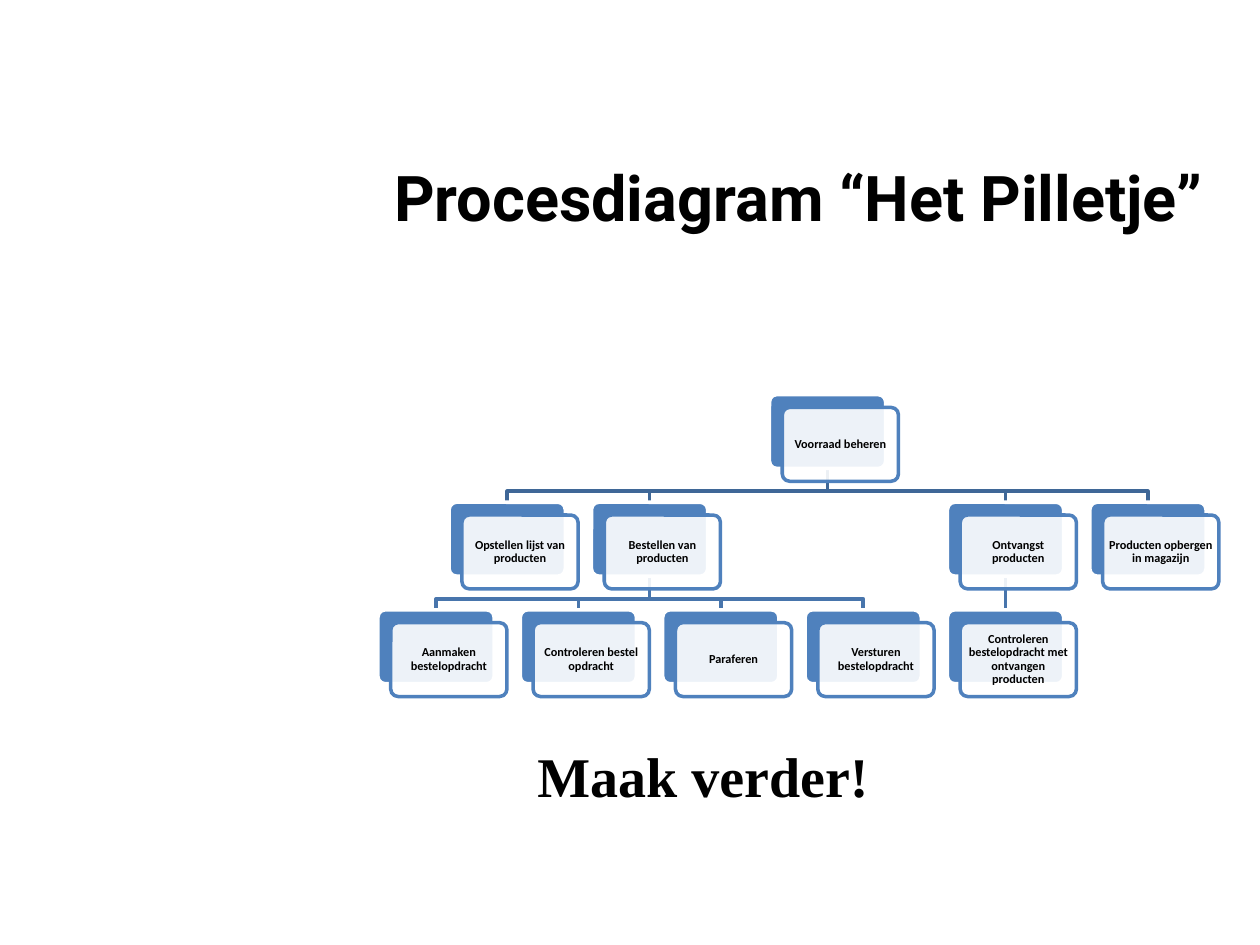
from lxml.etree import SubElement
from pptx import Presentation
from pptx.dml.color import RGBColor
from pptx.enum.shapes import MSO_CONNECTOR as CONN, MSO_SHAPE as SHAPE
from pptx.enum.text import MSO_ANCHOR as ANCHOR, MSO_AUTO_SIZE as AUTO, PP_ALIGN as ALIGN
from pptx.oxml.ns import qn
from pptx.util import Pt

BLACK = RGBColor(0x00, 0x00, 0x00)
WHITE = RGBColor(0xFF, 0xFF, 0xFF)
BLUE = RGBColor(0x4F, 0x81, 0xBD)
LINE_COLORS = [RGBColor(0x3F, 0x67, 0x97), RGBColor(0x48, 0x75, 0xAC)]  # by parent row

# Chart grid, in points
LEFT, TOP = 216, 225.5
COL_STEP, ROW_STEP = 81.36, 61.5
CARD_W, CARD_H = 66.4, 42.2
OFFSET = 7.3     # front card against back card
BEND = 13        # elbow below the parent card

# Name: (column, row, parent)
ROOT, ORDER, RECEIPT = "Voorraad beheren", "Bestellen van producten", "Ontvangst producten"
PROCESSES = {
    ROOT: (2.75, 0, None),
    "Opstellen lijst van producten": (0.5, 1, ROOT),
    ORDER: (1.5, 1, ROOT),
    RECEIPT: (4, 1, ROOT),
    "Producten opbergen in magazijn": (5, 1, ROOT),
    "Aanmaken bestelopdracht": (0, 2, ORDER),
    "Controleren bestel opdracht": (1, 2, ORDER),
    "Paraferen": (2, 2, ORDER),
    "Versturen bestelopdracht": (3, 2, ORDER),
    "Controleren bestelopdracht met ontvangen producten": (4, 2, RECEIPT),
}


def add_run(p, text, font, size):
    r = p.add_run()
    r.text = text
    r.font.name, r.font.size, r.font.bold = font, Pt(size), True
    r.font.color.rgb = BLACK


def set_title(slide, text):
    s = slide.shapes.title
    s.left, s.top, s.width, s.height = Pt(218), Pt(86.5), Pt(480), Pt(51)
    tf = s.text_frame
    tf.vertical_anchor = ANCHOR.MIDDLE
    tf.paragraphs[0].alignment = ALIGN.LEFT
    add_run(tf.paragraphs[0], text, "Roboto", 36)


def add_plate(slide, x, y, fill, line):
    s = slide.shapes.add_shape(SHAPE.ROUNDED_RECTANGLE, Pt(x), Pt(y), Pt(CARD_W), Pt(CARD_H))
    s.adjustments[0] = 0.1
    s.shadow.inherit = False
    s.fill.solid()
    s.fill.fore_color.rgb = fill
    s.line.color.rgb, s.line.width = line, Pt(2)
    return s


def add_card(slide, text, col, row):
    """Draw a back plate and a labelled front plate; return the back plate."""
    x, y = LEFT + col * COL_STEP, TOP + row * ROW_STEP
    back = add_plate(slide, x, y, BLUE, WHITE)
    front = add_plate(slide, x + OFFSET, y + OFFSET, WHITE, BLUE)
    color = front.fill._xPr.find(qn("a:solidFill"))[0]
    SubElement(color, qn("a:alpha"), val="90000")
    tf = front.text_frame
    tf.word_wrap = True
    tf.vertical_anchor = ANCHOR.MIDDLE
    tf.margin_left = tf.margin_right = tf.margin_top = tf.margin_bottom = Pt(2)
    p = tf.paragraphs[0]
    p.alignment, p.line_spacing, p.space_after = ALIGN.CENTER, 0.9, Pt(2.5)
    add_run(p, text, "Calibri", 7)
    return back


def link_cards(slide, parent, child, color):
    """Join parent bottom to child top, behind the cards."""
    x1, y1 = parent.left + parent.width // 2, parent.top + parent.height
    x2, y2 = child.left + child.width // 2, child.top
    if x1 == x2:
        s = slide.shapes.add_connector(CONN.STRAIGHT, x1, y1, x2, y2)
        s.begin_connect(parent, 2)
        s.end_connect(child, 0)
        SubElement(s._element.spPr, qn("a:effectLst"))
    else:
        bend = y1 + Pt(BEND)
        path = slide.shapes.build_freeform(x1, y1)
        path.add_line_segments([(x1, bend), (x2, bend), (x2, y2)], close=False)
        s = path.convert_to_shape()
        s.fill.background()
        s.shadow.inherit = False
    s.line.color.rgb, s.line.width = color, Pt(2)
    slide.shapes._spTree.insert(2, s._element)


def add_note(slide, text):
    s = slide.shapes.add_textbox(Pt(300), Pt(420), Pt(206), Pt(46))
    tf = s.text_frame
    tf.word_wrap = False
    tf.auto_size = AUTO.SHAPE_TO_FIT_TEXT
    add_run(tf.paragraphs[0], text, "Times New Roman", 32)


def main():
    prs = Presentation()
    prs.slide_width, prs.slide_height = Pt(720), Pt(540)
    slide = prs.slides.add_slide(prs.slide_layouts[5])
    set_title(slide, "Procesdiagram “Het Pilletje”")

    # Process tree
    cards = {name: add_card(slide, name, col, row)
             for name, (col, row, _) in PROCESSES.items()}
    for name, (_, row, parent) in PROCESSES.items():
        if parent:
            link_cards(slide, cards[parent], cards[name], LINE_COLORS[row - 1])

    add_note(slide, "Maak verder!")
    prs.save("out.pptx")


if __name__ == "__main__":
    main()
